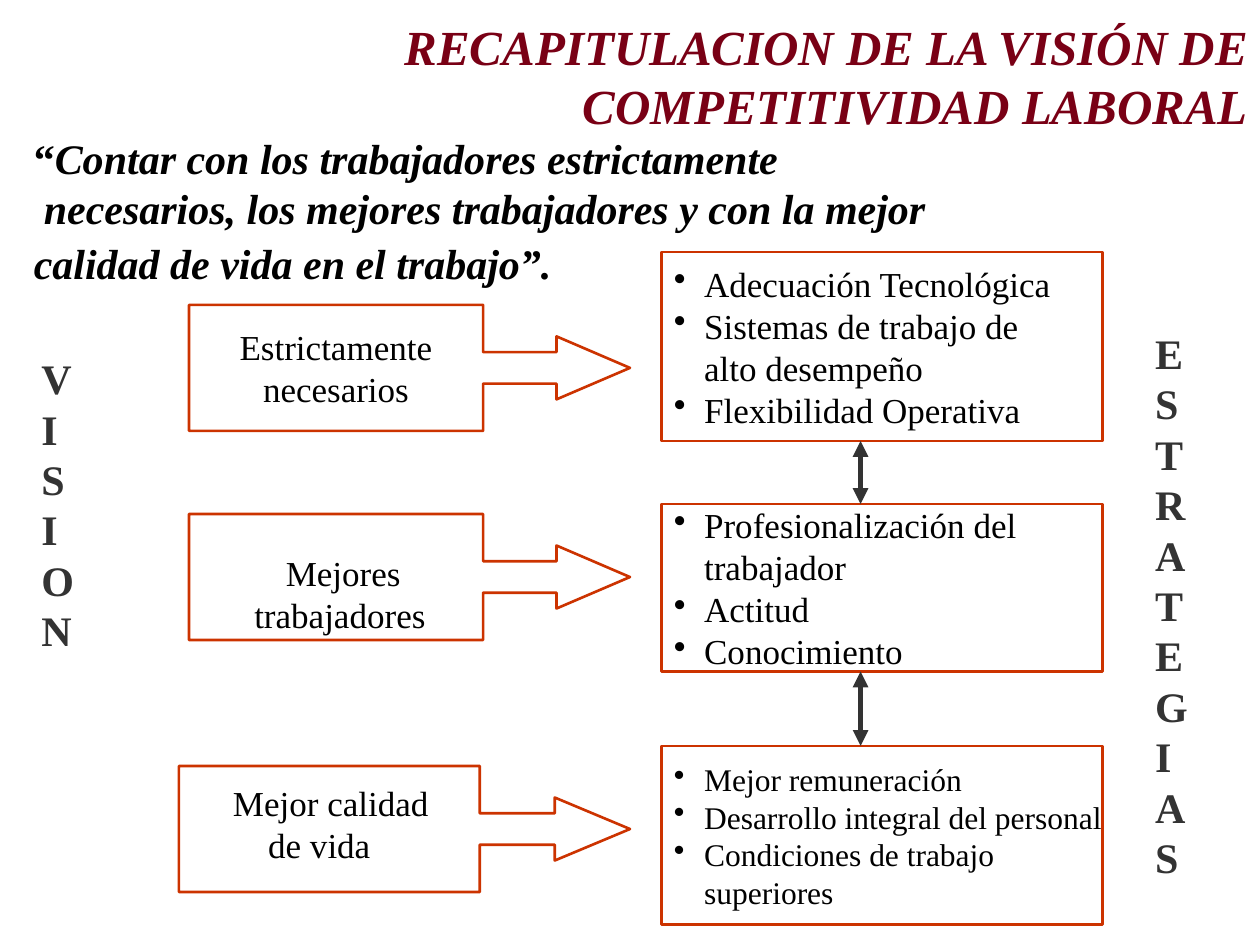
"""Build a slide linking a vision of labour competitiveness to its strategies."""
from dataclasses import dataclass

from lxml.etree import SubElement
from pptx import Presentation
from pptx.dml.color import RGBColor
from pptx.enum.shapes import MSO_CONNECTOR as Connector, MSO_SHAPE as Shape
from pptx.enum.text import MSO_ANCHOR as Anchor, MSO_AUTO_SIZE as AutoSize, PP_ALIGN as Align
from pptx.oxml.ns import qn
from pptx.util import Inches, Pt

FONT = "Times New Roman"
BLACK, GREY, WINE, ORANGE = "000000", "333333", "790015", "CC3300"
BOX_LEFT, BOX_WIDTH = 5.25, 3.5
BULLET_INDENT = 0.24


@dataclass(frozen=True)
class Area:
    left: float
    top: float
    width: float
    height: float

    def lengths(self):
        return [Inches(value) for value in (self.left, self.top, self.width, self.height)]


@dataclass(frozen=True)
class Style:
    size: float
    color: str = BLACK
    bold: bool = False
    italic: bool = False


@dataclass(frozen=True)
class Line:
    text: str
    indent: float = 0


@dataclass(frozen=True)
class Callout:
    area: Area
    body_share: float
    head_length: float
    lines: tuple[Line, ...] = ()


@dataclass(frozen=True)
class Strategy:
    top: float
    height: float
    size: float
    items: tuple[tuple[str, ...], ...]


PLAIN = Style(20)
LETTERS = Style(24, GREY, bold=True)
QUOTE = Style(24, bold=True, italic=True)

STRATEGIES = (
    Strategy(2, 1.5, 20, (("Adecuación Tecnológica",),
                          ("Sistemas de trabajo de", "alto desempeño"),
                          ("Flexibilidad Operativa",))),
    Strategy(4, 1.33, 20, (("Profesionalización del", "trabajador"),
                           ("Actitud",), ("Conocimiento",))),
    Strategy(5.92, 1.42, 18, (("Mejor remuneración",),
                              ("Desarrollo integral del personal",),
                              ("Condiciones de trabajo", "superiores"))),
)
CALLOUTS = (
    Callout(Area(1.5, 2.42, 3.5, 1), 0.667, 0.583,
            (Line("Estrictamente"), Line("necesarios"))),
    Callout(Area(1.5, 4.08, 3.5, 1), 0.667, 0.583),
    Callout(Area(1.42, 6.08, 3.58, 1), 0.667, 0.597),
)


def rgb(color: str) -> RGBColor:
    return RGBColor.from_string(color)


def add_run(paragraph, text: str, style: Style) -> None:
    run = paragraph.add_run()
    run.text = text
    font = run.font
    font.name, font.size = FONT, Pt(style.size)
    font.bold, font.italic = style.bold, style.italic
    font.color.rgb = rgb(style.color)


def set_indent(paragraph, left: float, first: float = 0):
    properties = paragraph._p.get_or_add_pPr()
    properties.set("marL", str(Inches(left)))
    properties.set("indent", str(Inches(first)))
    return properties


def add_paragraph(frame, align=Align.LEFT):
    first = frame.paragraphs[0]
    paragraph = frame.add_paragraph() if first.runs else first
    paragraph.alignment = align
    return paragraph


def write_lines(frame, lines, style: Style, align=Align.LEFT) -> None:
    for line in lines:
        paragraph = add_paragraph(frame, align)
        if line.indent:
            set_indent(paragraph, line.indent)
        add_run(paragraph, line.text, style)


def add_text(slide, area: Area, wrap: bool = False, anchor=Anchor.TOP):
    frame = slide.shapes.add_textbox(*area.lengths()).text_frame
    frame.word_wrap = wrap
    frame.auto_size = AutoSize.SHAPE_TO_FIT_TEXT
    frame.vertical_anchor = anchor
    return frame


def add_outline(slide, kind, area: Area):
    shape = slide.shapes.add_shape(kind, *area.lengths())
    shape.shadow.inherit = False
    shape.fill.background()
    shape.line.color.rgb = rgb(ORANGE)
    shape.line.width = Pt(1.5)
    shape.text_frame.word_wrap = False
    shape.text_frame.vertical_anchor = Anchor.MIDDLE
    return shape


def add_callout(slide, callout: Callout) -> None:
    shape = add_outline(slide, Shape.RIGHT_ARROW_CALLOUT, callout.area)
    values = (0.25, 0.25, callout.head_length, callout.body_share)
    for index, value in enumerate(values):
        shape.adjustments[index] = value
    write_lines(shape.text_frame, callout.lines, PLAIN, Align.CENTER)


def add_strategy(slide, strategy: Strategy) -> None:
    area = Area(BOX_LEFT, strategy.top, BOX_WIDTH, strategy.height)
    frame = add_outline(slide, Shape.RECTANGLE, area).text_frame
    for first, *rest in strategy.items:
        paragraph = add_paragraph(frame)
        properties = set_indent(paragraph, BULLET_INDENT, -BULLET_INDENT)
        SubElement(properties, qn("a:buChar")).set("char", "•")
        add_run(paragraph, first, Style(strategy.size))
        for text in rest:
            paragraph.add_line_break()
            add_run(paragraph, text, Style(strategy.size))


def add_double_arrow(slide, x: float, top: float, bottom: float) -> None:
    connector = slide.shapes.add_connector(
        Connector.STRAIGHT, Inches(x), Inches(top), Inches(x), Inches(bottom))
    connector.line.color.rgb = rgb(GREY)
    connector.line.width = Pt(3)
    outline = connector.line._get_or_add_ln()
    for end in ("a:headEnd", "a:tailEnd"):
        SubElement(outline, qn(end)).set("type", "triangle")
    SubElement(connector._element.spPr, qn("a:effectLst"))


def main() -> None:
    presentation = Presentation()
    presentation.slide_width, presentation.slide_height = Inches(10), Inches(7.5)
    slide = presentation.slides.add_slide(presentation.slide_layouts[6])

    title = Line("RECAPITULACION DE LA VISIÓN DE COMPETITIVIDAD LABORAL")
    write_lines(add_text(slide, Area(0, 0.08, 10, 1.04), wrap=True), [title],
                Style(28, WINE, bold=True, italic=True), Align.RIGHT)

    quote = add_text(slide, Area(0.17, 1, 9, 1.74), wrap=True)
    add_run(quote.paragraphs[0], "“", Style(24, bold=True))
    add_run(quote.paragraphs[0], "Contar con los trabajadores estrictamente", QUOTE)
    write_lines(quote, (Line("necesarios, los mejores trabajadores y con la mejor", 0.08),
                        Line("calidad de vida en el trabajo”.")), QUOTE)
    quote.paragraphs[-1].line_spacing = 1.1

    for callout in CALLOUTS:
        add_callout(slide, callout)
    for strategy in STRATEGIES:
        add_strategy(slide, strategy)
    for upper, lower in zip(STRATEGIES, STRATEGIES[1:]):
        add_double_arrow(slide, 6.83, upper.top + upper.height, lower.top)

    write_lines(add_text(slide, Area(1.92, 4.25, 1.56, 0.84), anchor=Anchor.BOTTOM),
                (Line("Mejores", 0.25), Line("trabajadores")), PLAIN)
    write_lines(add_text(slide, Area(1.75, 6.15, 1.75, 0.77)),
                (Line("Mejor calidad"), Line("de vida", 0.28)), PLAIN)
    for word, area in (("VISION", Area(0.23, 2.75, 0.46, 2.5)),
                       ("ESTRATEGIAS", Area(9.07, 2.55, 0.46, 4.5))):
        write_lines(add_text(slide, area), map(Line, word), LETTERS)

    presentation.save("out.pptx")


if __name__ == "__main__":
    main()
